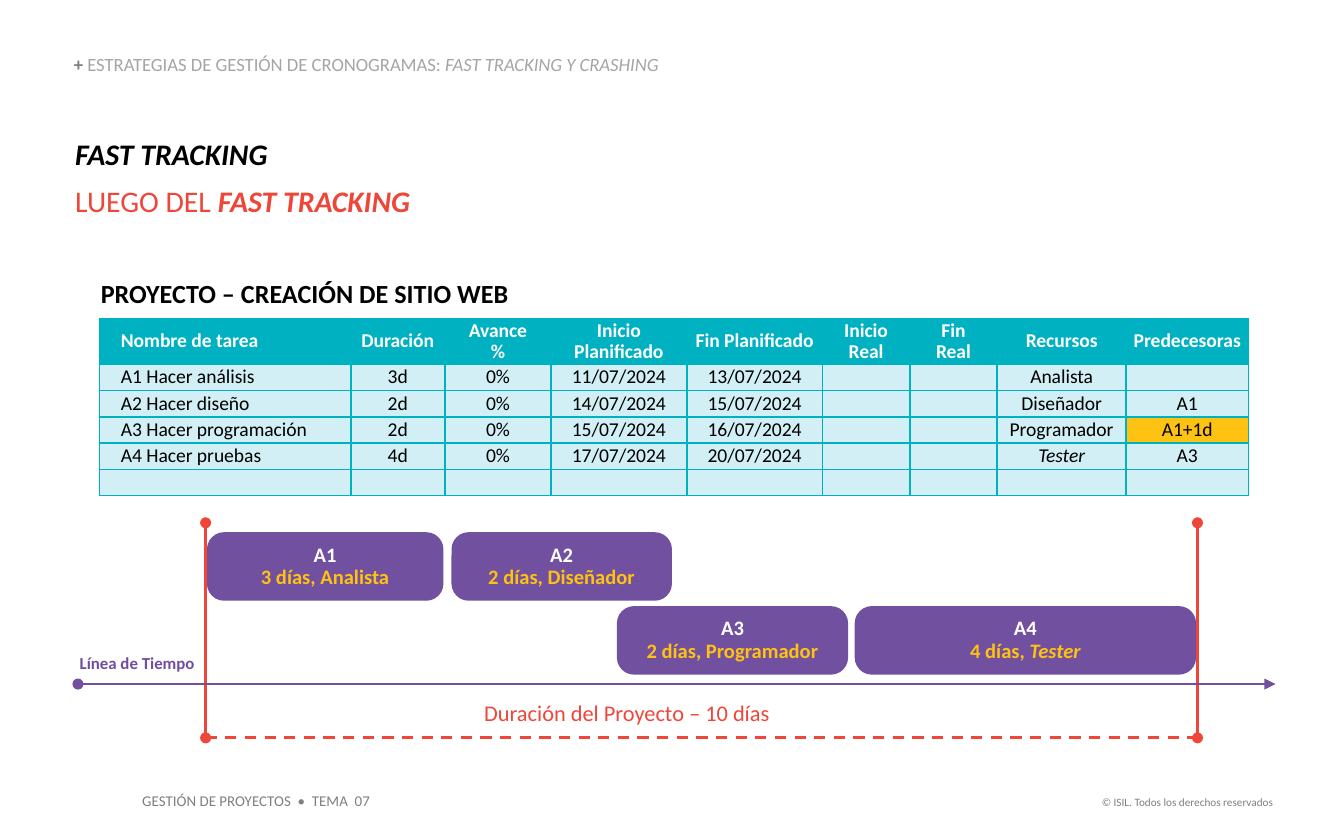
from lxml import etree
from pptx import Presentation
from pptx import util as u
from pptx.dml import color
from pptx.enum import dml, shapes, text
from pptx.oxml import ns

UNIT = u.Inches(0.1)  # grid step: the slide is 100 columns by 62.5 rows
FONT = "Calibri"
RED, PLUM, TEAL, ICE, GOLD = "EE4639", "7150A0", "00B1C2", "D1EFF4", "FFC211"
GREY, ASH, WHITE, BLACK = "7F7F7F", "A5A5A5", "FFFFFF", "000000"
LEFT, MID, RIGHT = text.PP_ALIGN.LEFT, text.PP_ALIGN.CENTER, text.PP_ALIGN.RIGHT
TOP, CORE, BASE = text.MSO_ANCHOR.TOP, text.MSO_ANCHOR.MIDDLE, text.MSO_ANCHOR.BOTTOM
BOLD, SLANT, BOTH = {"bold": True}, {"italic": True}, {"bold": True, "italic": True}
tint = color.RGBColor.from_string


def grid(*spots):
    return [round(s * UNIT) for s in spots]


def put(host, paras, size, align, lead=1.0, gap=0, pads=(0, 0), anchor=TOP):
    """Fill a text frame or cell; each paragraph is a list of (words, hex, format)."""
    side, edge = grid(*pads)
    look = {"margin_left": side, "margin_right": side, "margin_top": edge,
            "margin_bottom": edge, "vertical_anchor": anchor, "word_wrap": True}
    for key, val in look.items():
        if hasattr(host, key):
            setattr(host, key, val)
    frame = getattr(host, "text_frame", host)
    for n, runs in enumerate(paras):
        para = frame.add_paragraph() if n else frame.paragraphs[0]
        para.alignment, para.line_spacing = align, lead
        if n and gap:
            para.space_before = u.Pt(gap)
        for words, hue, form in runs:
            for k, line in enumerate(words.split("\n")):
                if k:
                    para.add_line_break()
                run = para.add_run()
                run.text = line
                for key, val in {"name": FONT, "size": u.Pt(size), **form}.items():
                    setattr(run.font, key, val)
                run.font.color.rgb = tint(hue)
        if not runs:
            para._p.get_or_add_endParaRPr().set("sz", str(round(size * 100)))


deck = Presentation()
deck.slide_width, deck.slide_height = grid(100, 62.5)
slide = deck.slides.add_slide(deck.slide_layouts[6])
items = slide.shapes

# Task table
wides = [18.7, 7, 7.9, 10.1, 10.1, 6.5, 6.5, 9.6, 9.1]
highs = [3.5, 3.4] + [1.96] * 5
heads = ["Nombre de tarea", "Duración", "Avance\n%", "Inicio Planificado",
         "Fin Planificado", "Inicio\nReal", "Fin\nReal", "Recursos", "Predecesoras"]
tasks = [
    ["A1 Hacer análisis", "3d", "0%", "11/07/2024", "13/07/2024", "", "", "Analista", ""],
    ["A2 Hacer diseño", "2d", "0%", "14/07/2024", "15/07/2024", "", "", "Diseñador", "A1"],
    ["A3 Hacer programación", "2d", "0%", "15/07/2024", "16/07/2024", "", "", "Programador", "A1+1d"],
    ["A4 Hacer pruebas", "4d", "0%", "17/07/2024", "20/07/2024", "", "", "Tester", "A3"],
    [""] * len(heads),
]
table = items.add_table(len(highs), len(wides),
                        *grid(7.4, 20.2, sum(wides), sum(highs))).table
table.first_row = table.horz_banding = False
for col, wide in zip(table.columns, grid(*wides)):
    col.width = wide
for row, high in zip(table.rows, grid(*highs)):
    row.height = high

title = table.cell(0, 0)
title.merge(table.cell(0, len(wides) - 1))
title.fill.background()
put(title, [[("PROYECTO – CREACIÓN DE SITIO WEB", BLACK, BOLD)]], 14, LEFT,
    pads=(0.1, 0), anchor=CORE)

for r, row in enumerate([heads] + tasks, 1):
    for c, words in enumerate(row):
        cell = table.cell(r, c)
        hue, form = (WHITE, BOLD) if r == 1 else (BLACK, {})
        if words == "Tester":
            form = SLANT
        put(cell, [[(words, hue, form)] if words else []], 10.5, MID if c else LEFT,
            lead=0.9, pads=(0.1, 0), anchor=CORE)
        if c == 0:
            cell.margin_left = grid(1.6)[0]
        cell.fill.solid()
        cell.fill.fore_color.rgb = tint(
            TEAL if r == 1 else "FDC212" if words == "A1+1d" else ICE)
        props = cell._tc.get_or_add_tcPr()
        for n, side in enumerate(["lnL", "lnR", "lnT", "lnB"]):
            edge = etree.Element(ns.qn("a:" + side), w=str(u.Pt(1)))
            fill = etree.SubElement(edge, ns.qn("a:solidFill"))
            etree.SubElement(fill, ns.qn("a:srgbClr"), val=TEAL)
            props.insert(n, edge)

# Task bars: left, top, width, name, detail runs
bars = [
    (15.4, 39.6, 17.6, "A1", [("3 días, Analista", GOLD, BOLD)]),
    (33.6, 39.6, 16.4, "A2", [("2 días, Diseñador", GOLD, BOLD)]),
    (45.9, 45.1, 17.2, "A3", [("2 días, Programador", GOLD, BOLD)]),
    (63.6, 45.1, 25.4, "A4", [("4 días, ", GOLD, BOLD), ("Tester", GOLD, BOTH)]),
]
for left, top, wide, name, runs in bars:
    bar = items.add_shape(shapes.MSO_SHAPE.ROUNDED_RECTANGLE, *grid(left, top, wide, 5.1))
    bar.adjustments[0] = 0.25
    bar.shadow.inherit = False
    bar.fill.solid()
    bar.fill.fore_color.rgb = tint(PLUM)
    bar.line.fill.background()
    put(bar.text_frame, [[(name, WHITE, BOLD)], runs], 11, MID, lead=0.9, anchor=CORE)

# Time axis and project limits: ends, colour, width, dash, arrowheads
start, end, roof, floor, axis = 15.3, 89.1, 38.9, 54.9, 50.9
lines = [
    ((start, floor, end, floor), RED, 1.5, dml.MSO_LINE.DASH, {}),
    ((end, roof, end, floor), RED, 1.5, None, {"headEnd": "oval", "tailEnd": "oval"}),
    ((start, roof, start, floor), RED, 1.5, None, {"headEnd": "oval", "tailEnd": "oval"}),
    ((5.8, axis, 94.9, axis), PLUM, 1, None, {"headEnd": "oval", "tailEnd": "triangle"}),
]
for ends, hue, thick, dash, tips in lines:
    rule = items.add_connector(shapes.MSO_CONNECTOR.STRAIGHT, *grid(*ends))
    rule.line.color.rgb = tint(hue)
    rule.line.width = u.Pt(thick)
    if dash:
        rule.line.dash_style = dash
    for tag, kind in tips.items():
        etree.SubElement(rule.line._get_or_add_ln(), ns.qn("a:" + tag), type=kind)
    etree.SubElement(rule._element.spPr, ns.qn("a:effectLst"))

# Headings, labels and footer: place, paragraphs, size, alignment, layout
pads = (1, 0.5)
notes = [
    ((5.5, 4.1, 49.4, 1.5),
     [[("+ ", GREY, BOLD), ("ESTRATEGIAS DE GESTIÓN DE CRONOGRAMAS: ", ASH, {}),
       ("FAST TRACKING Y CRASHING", ASH, SLANT)]],
     10, LEFT, {"lead": 0.9, "anchor": BASE}),
    ((5.6, 10.1, 46.4, 6.2),
     [[("FAST TRACKING", BLACK, BOTH)],
      [("LUEGO DEL ", RED, {}), ("FAST TRACKING", RED, BOTH)]],
     16, LEFT, {"gap": 6}),
    ((5.8, 48.6, 8.8, 1.6), [[("Línea de Tiempo", "714EA0", BOLD)]], 9, MID, {}),
    ((29.7, 51.5, 33.9, 3), [[("Duración del Proyecto – 10 días", RED, {})]],
     12, MID, {"pads": pads}),
    ((9.6, 58.4, 19, 2.4), [[("GESTIÓN DE PROYECTOS  •  TEMA  07", GREY, {})]],
     8, LEFT, {"pads": pads}),
    ((79.1, 58.7, 16.6, 2), [[("© ISIL. Todos los derechos reservados", GREY, {})]],
     6, RIGHT, {"pads": pads}),
]
for place, paras, size, align, form in notes:
    put(items.add_textbox(*grid(*place)).text_frame, paras, size, align, **form)

deck.save("out.pptx")
